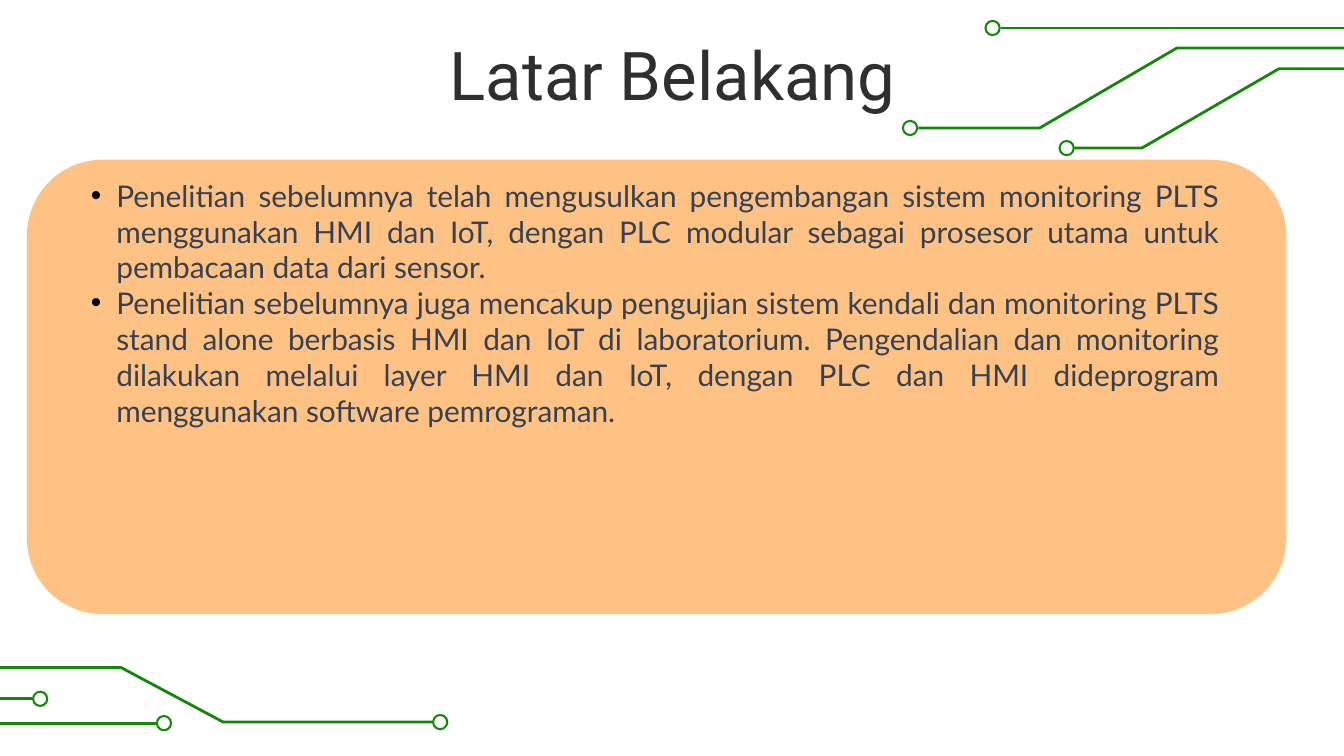
from dataclasses import dataclass
from typing import Any

from lxml.etree import SubElement
from pptx import Presentation
from pptx.dml.color import RGBColor
from pptx.enum.shapes import MSO_CONNECTOR, MSO_SHAPE
from pptx.enum.text import MSO_ANCHOR, PP_ALIGN
from pptx.oxml.ns import qn
from pptx.slide import Slide
from pptx.util import Cm, Pt

COLORS = {
    "circuit": "138808",
    "panel": "FFC285",
    "title": "302F2F",
    "body": "374151",
    "bullet": "000000",
}
RING_DIAMETER = 0.31
RING_THICKNESS = 0.13
TRACE_WIDTH = Pt(1.5)
BULLET_INDENT = Cm(0.48)


@dataclass(frozen=True)
class Trace:
    ring_center: tuple[float, float]
    bends: tuple[tuple[float, float], ...]


@dataclass(frozen=True)
class TextBlock:
    left: float
    top: float
    width: float
    height: float
    paragraphs: tuple[str, ...]
    color: str
    font_format: dict[str, Any]
    frame_format: dict[str, Any]
    alignment: PP_ALIGN
    bulleted: bool = False


TRACES = (
    Trace((3.1, 13.67), ((-3.23, 13.67),)),
    Trace((0.76, 13.21), ((-5.56, 13.21),)),
    Trace((8.32, 13.65), ((4.22, 13.65), (2.29, 12.62), (-0.94, 12.62))),
    Trace((17.2, 2.42), ((19.65, 2.42), (22.24, 0.91), (27.13, 0.91))),
    Trace((20.16, 2.8), ((21.58, 2.8), (24.17, 1.3), (28.73, 1.3))),
    Trace((18.76, 0.53), ((26.7, 0.53),)),
)

TITLE = TextBlock(
    2.01, 0.38, 21.41, 1.7,
    ("Latar Belakang",),
    "title",
    {"name": "Roboto", "size": Pt(36)},
    {
        "word_wrap": True,
        "vertical_anchor": MSO_ANCHOR.TOP,
        "margin_top": Cm(0.25),
        "margin_bottom": Cm(0.25),
    },
    PP_ALIGN.CENTER,
)

BODY = TextBlock(
    1.47, 3.23, 21.84, 5.56,
    (
        "Penelitian sebelumnya telah mengusulkan pengembangan sistem monitoring "
        "PLTS menggunakan HMI dan IoT, dengan PLC modular sebagai prosesor utama "
        "untuk pembacaan data dari sensor.",
        "Penelitian sebelumnya juga mencakup pengujian sistem kendali dan "
        "monitoring PLTS stand alone berbasis HMI dan IoT di laboratorium. "
        "Pengendalian dan monitoring dilakukan melalui layer HMI dan IoT, dengan "
        "PLC dan HMI dideprogram menggunakan software pemrograman.",
    ),
    "body",
    {"name": "Lato", "size": Pt(16)},
    {"word_wrap": True, "vertical_anchor": MSO_ANCHOR.TOP},
    PP_ALIGN.JUSTIFY,
    bulleted=True,
)


def rgb(name: str) -> RGBColor:
    return RGBColor.from_string(COLORS[name])


def apply_format(target: Any, values: dict[str, Any]) -> None:
    for attribute, value in values.items():
        setattr(target, attribute, value)


def add_filled_shape(
    slide: Slide, kind: MSO_SHAPE, box: tuple[float, ...], color: str
) -> Any:
    shape = slide.shapes.add_shape(kind, *map(Cm, box))
    shape.shadow.inherit = False
    shape.fill.solid()
    shape.fill.fore_color.rgb = rgb(color)
    shape.line.fill.background()
    return shape


def add_trace(slide: Slide, trace: Trace) -> None:
    center_x, center_y = trace.ring_center
    radius = RING_DIAMETER / 2
    direction = 1 if trace.bends[0][0] > center_x else -1
    start = (center_x + direction * radius, center_y)
    points = [(Cm(x), Cm(y)) for x, y in (start, *trace.bends)]
    if len(points) == 2:
        line_shape = slide.shapes.add_connector(
            MSO_CONNECTOR.STRAIGHT, *points[0], *points[1]
        )
    else:
        builder = slide.shapes.build_freeform(*points[0])
        builder.add_line_segments(points[1:], close=False)
        line_shape = builder.convert_to_shape()
        line_shape.fill.background()
        line_shape.shadow.inherit = False
    line_shape.line.color.rgb = rgb("circuit")
    line_shape.line.width = TRACE_WIDTH
    if len(points) == 2:
        SubElement(line_shape._element.spPr, qn("a:effectLst"))
    ring = add_filled_shape(
        slide,
        MSO_SHAPE.DONUT,
        (center_x - radius, center_y - radius, RING_DIAMETER, RING_DIAMETER),
        "circuit",
    )
    ring.adjustments[0] = RING_THICKNESS


def add_bullet(paragraph: Any) -> None:
    properties = paragraph._p.get_or_add_pPr()
    properties.set("marL", str(BULLET_INDENT))
    properties.set("indent", str(-BULLET_INDENT))
    bullet_color = SubElement(properties, qn("a:buClr"))
    SubElement(bullet_color, qn("a:srgbClr"), val=COLORS["bullet"])
    SubElement(properties, qn("a:buFont"), typeface="Arial")
    SubElement(properties, qn("a:buChar"), char="•")


def add_text_block(slide: Slide, block: TextBlock) -> None:
    box = (block.left, block.top, block.width, block.height)
    frame = slide.shapes.add_textbox(*map(Cm, box)).text_frame
    apply_format(frame, block.frame_format)
    for index, text in enumerate(block.paragraphs):
        paragraph = frame.add_paragraph() if index else frame.paragraphs[0]
        paragraph.alignment = block.alignment
        if block.bulleted:
            add_bullet(paragraph)
        run = paragraph.add_run()
        run.text = text
        apply_format(run.font, block.font_format)
        run.font.color.rgb = rgb(block.color)


def main() -> None:
    presentation = Presentation()
    presentation.slide_width = Cm(25.4)
    presentation.slide_height = Cm(14.29)
    slide = presentation.slides.add_slide(presentation.slide_layouts[6])
    for trace in TRACES:
        add_trace(slide, trace)
    add_text_block(slide, TITLE)
    add_filled_shape(
        slide, MSO_SHAPE.ROUNDED_RECTANGLE, (0.51, 3.02, 23.8, 8.59), "panel"
    )
    add_text_block(slide, BODY)
    presentation.save("out.pptx")


if __name__ == "__main__":
    main()
